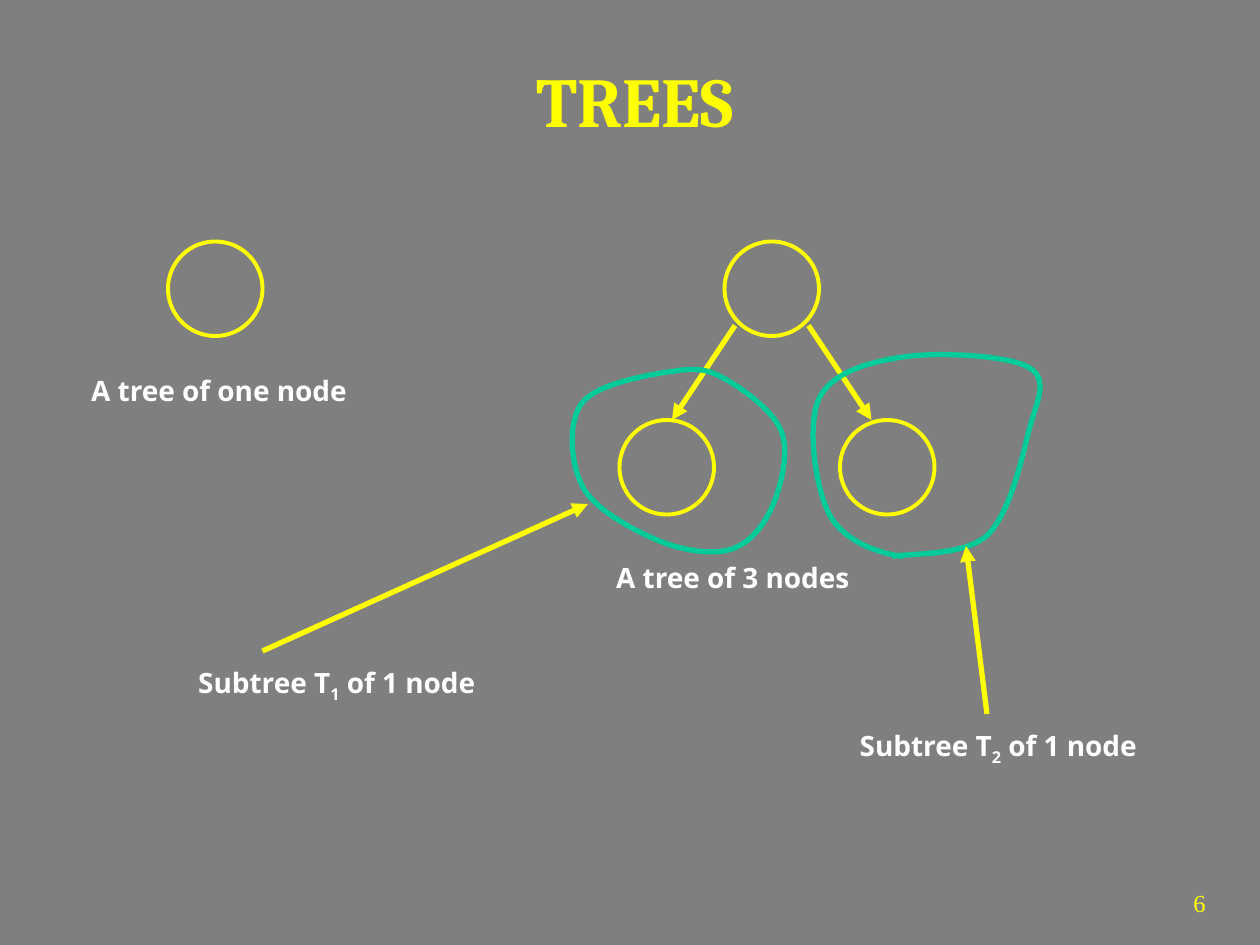
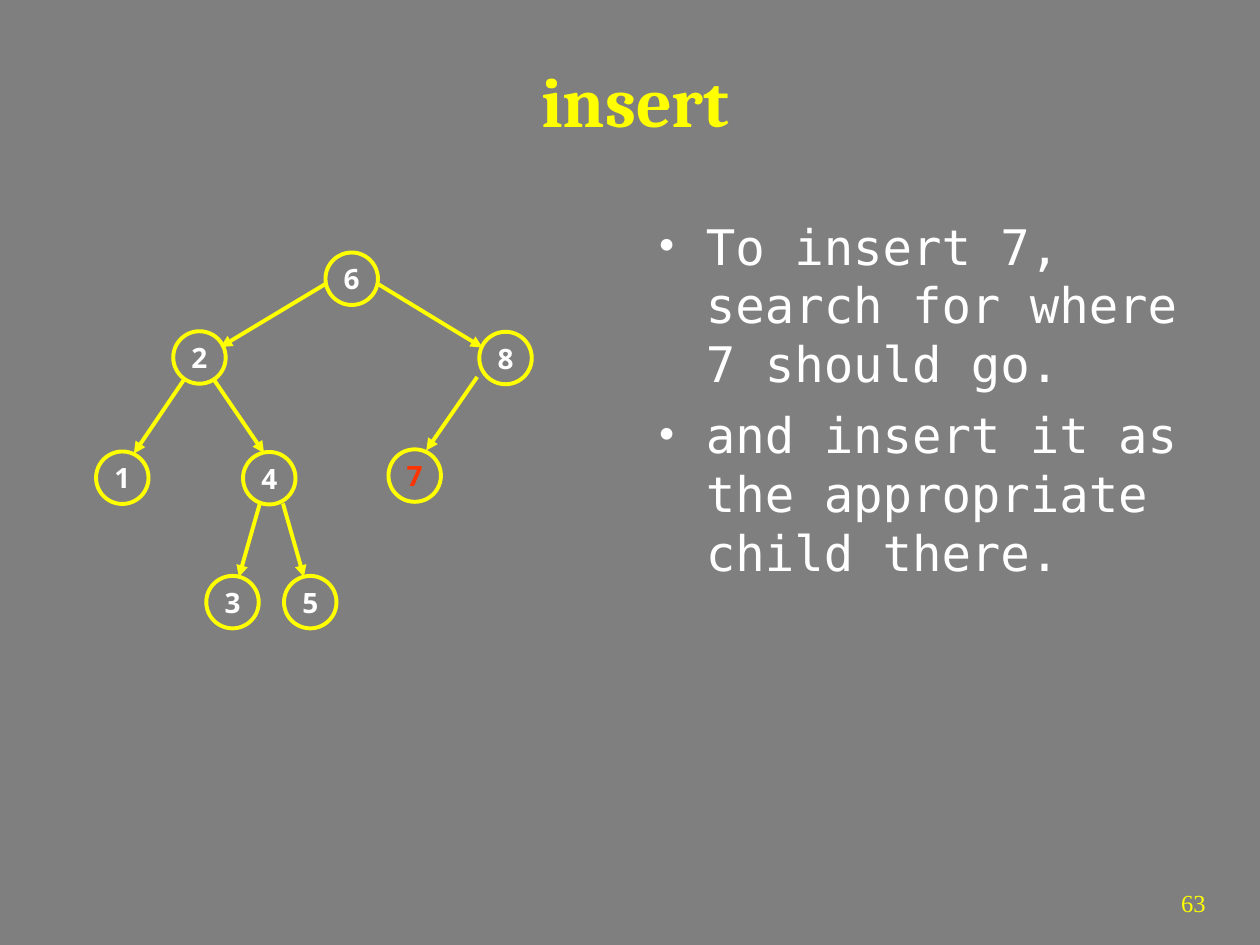
from collections import namedtuple

from lxml.etree import SubElement
from pptx import Presentation
from pptx.dml.color import RGBColor
from pptx.enum.shapes import MSO_CONNECTOR, MSO_SHAPE
from pptx.enum.text import MSO_ANCHOR, MSO_AUTO_SIZE, PP_ALIGN
from pptx.oxml.ns import qn
from pptx.util import Emu, Inches, Pt

COLORS = {"ground": "7F7F7F", "accent": "FFFF00", "text": "FFFFFF",
          "outline": "00CC99", "new": "FF3300"}
TITLE = {"name": "Cambria", "size": Pt(40), "bold": True}
LABEL = {"name": "Open Sans", "size": Pt(16), "bold": True}
BODY = {"name": "DejaVu Sans Mono", "size": Pt(28), "bold": False}
NUMBER = {"name": "Times New Roman", "size": Pt(14), "bold": False}

# The slide is a grid of 120 columns by 90 rows; all boxes count in its cells.
COLUMNS, ROWS = 120, 90
CELL = Inches(10) // COLUMNS
Box = namedtuple("Box", "column row width height")

TITLE_BOX = Box(5, 3, 111, 13)
NUMBER_BOX = Box(104, 84, 12, 6)
LABEL_HEIGHT = 4.4
BIG_NODE, SMALL_NODE = 9, 5


def cells(*counts):
    return [Emu(round(count * CELL)) for count in counts]


def inside(box, column, row):
    return box.column + column, box.row + row


def rgb(name):
    return RGBColor.from_string(COLORS[name])


def apply(target, values):
    for name, value in values.items():
        setattr(target, name, value)


def style(font, values, color):
    apply(font, values)
    font.color.rgb = rgb(color)


def add_text(page, box, **frame_values):
    frame = page.shapes.add_textbox(*cells(*box)).text_frame
    apply(frame, {"word_wrap": True, **frame_values})
    return frame


def add_label(page, column, row, width, *texts):
    """Add a one-line label; every second text is a subscript."""
    frame = add_text(page, Box(column, row, width, LABEL_HEIGHT), word_wrap=False)
    for index, text in enumerate(texts):
        span = frame.paragraphs[0].add_run()
        span.text = text
        style(span.font, LABEL, "text")
        if index % 2:
            span._r.get_or_add_rPr().set("baseline", "-25000")


def outline_only(shape, color, width):
    shape.shadow.inherit = False
    shape.fill.background()
    shape.line.color.rgb = rgb(color)
    shape.line.width = Pt(width)


def add_node(page, column, row, size, key="", color="text"):
    node = page.shapes.add_shape(MSO_SHAPE.OVAL, *cells(column, row, size, size))
    outline_only(node, "accent", 2.25)
    if key:
        frame = node.text_frame
        apply(frame, {"margin_left": 0, "margin_right": 0, "margin_top": 0,
                      "margin_bottom": 0, "word_wrap": False,
                      "vertical_anchor": MSO_ANCHOR.MIDDLE})
        para = frame.paragraphs[0]
        para.text, para.alignment = key, PP_ALIGN.CENTER
        style(para.font, LABEL, color)


def add_arrow(page, start, end, width):
    arrow = page.shapes.add_connector(MSO_CONNECTOR.STRAIGHT, *cells(*start, *end))
    arrow.line.color.rgb = rgb("accent")
    arrow.line.width = Pt(width)
    SubElement(arrow.line._get_or_add_ln(), qn("a:tailEnd"), type="triangle")
    SubElement(arrow._element.spPr, qn("a:effectLst"))


def curve_points(points, closed):
    """Return the start, then two handles and an end for each piece of a smooth curve."""
    if closed:
        ring = [points[-1], *points, *points[:2]]
    else:
        ring = [points[-2], *points, points[-1]]
    curve = [points[0]]
    for before, start, end, after in zip(ring, ring[1:], ring[2:], ring[3:]):
        curve.append(tuple(b + (c - a) / 6 for a, b, c in zip(before, start, end)))
        curve.append(tuple(c - (d - b) / 6 for b, c, d in zip(start, end, after)))
        curve.append(end)
    return curve


def add_curve(page, box, points, closed):
    start, *rest = [cells(*inside(box, *point)) for point in curve_points(points, closed)]
    builder = page.shapes.build_freeform(*start)
    builder.add_line_segments(rest, close=closed)
    shape = builder.convert_to_shape()
    outline_only(shape, "outline", 3)
    lines = list(shape._element.iter(qn("a:lnTo")))
    for piece, *others in zip(lines[::3], lines[1::3], lines[2::3]):
        piece.tag = qn("a:cubicBezTo")
        for line in others:
            line.getparent().remove(line)
            piece.append(line[0])


def add_slide(deck, title, number):
    page = deck.slides.add_slide(deck.slide_layouts[5])
    heading = page.shapes.title
    apply(heading, dict(zip(("left", "top", "width", "height"), cells(*TITLE_BOX))))
    apply(heading.text_frame, {"text": title, "auto_size": MSO_AUTO_SIZE.NONE,
                               "vertical_anchor": MSO_ANCHOR.MIDDLE})
    para = heading.text_frame.paragraphs[0]
    para.alignment = PP_ALIGN.CENTER
    style(para.font, TITLE, "accent")

    para = add_text(page, NUMBER_BOX).paragraphs[0]
    para.text, para.alignment = number, PP_ALIGN.RIGHT
    style(para.font, NUMBER, "accent")
    return page


def add_single_node_tree(page, box):
    add_node(page, *inside(box, 8.5, 0), BIG_NODE)
    add_label(page, *inside(box, 0, 12), box.width, "A tree of one node")


def add_three_node_tree(page, box):
    for place in ((15, 0), (5, 17), (26, 17)):
        add_node(page, *inside(box, *place), BIG_NODE)
    for start, end in (((16, 8), (10, 17)), ((23, 8), (29, 17))):
        add_arrow(page, inside(box, *start), inside(box, *end), 3)
    add_label(page, *inside(box, 3.5, 29.8), 24.6, "A tree of 3 nodes")


def add_subtree(page, box, points, closed, arrow, label_place, index):
    add_curve(page, box, points, closed)
    add_arrow(page, *(inside(box, *end) for end in arrow), 3)
    add_label(page, *inside(box, *label_place), 28.8, "Subtree T", index, " of 1 node")


def add_search_tree(page, box):
    # key: centre, parent, where the arrow leaves the parent's centre and meets the child's
    nodes = {
        "6": ((24.4, 2.5), None, None, None),
        "2": ((9.9, 10), "6", (-2.5, 0.5), (2, -1)),
        "8": ((39.05, 10.05), "6", (2.5, 0.5), (-2.2, -1)),
        "1": ((2.55, 21.45), "2", (-1.4, 2), (1.1, -2.3)),
        "4": ((16.55, 21.5), "2", (1.3, 2), (-0.5, -2.4)),
        "7": ((30.4, 21.25), "8", (-2.7, 1.8), (1.1, -2.4)),
        "3": ((13.05, 33.3), "4", (-0.9, 2.4), (0.6, -2.4)),
        "5": ((20.45, 33.3), "4", (1.3, 2.4), (-0.6, -2.4)),
    }
    for key, (centre, parent, leave, meet) in nodes.items():
        x, y = inside(box, *centre)
        add_node(page, x - SMALL_NODE / 2, y - SMALL_NODE / 2, SMALL_NODE, key,
                 "new" if key == "7" else "text")
        if parent:
            parent_x, parent_y = inside(box, *nodes[parent][0])
            add_arrow(page, (parent_x + leave[0], parent_y + leave[1]),
                      (x + meet[0], y + meet[1]), 2.25)


def add_bullets(page, box, texts):
    frame = add_text(page, box)
    indent = Inches(0.38)
    for index, text in enumerate(texts):
        para = frame.add_paragraph() if index else frame.paragraphs[0]
        para.text = text
        props = para._p.get_or_add_pPr()
        props.set("marL", str(indent))
        props.set("indent", str(-indent))
        if index:
            para.space_before = Pt(7)
        color = SubElement(props, qn("a:buClr"))
        SubElement(color, qn("a:srgbClr"), val=COLORS["text"])
        SubElement(props, qn("a:buFont"), typeface="Times New Roman")
        SubElement(props, qn("a:buChar"), char="•")
        style(para.font, BODY, "text")


def build_trees_slide(deck):
    page = add_slide(deck, "TREES", "6")
    add_single_node_tree(page, Box(7.5, 23, 26.8, 16.4))
    add_three_node_tree(page, Box(54, 23, 35, 34.2))
    add_subtree(page, Box(54, 35, 21, 18),
                [(8.5, 16.4), (1.5, 11.35), (1.5, 3.3), (10.5, 0.3),
                 (15.5, 1.35), (20.5, 6.3), (19.5, 13.35), (15.5, 17.35)],
                True, ((-29, 27), (2, 13)), (-36.3, 27.8), "1")
    add_subtree(page, Box(77, 33.5, 23, 19.5),
                [(9, 19.5), (2, 15.5), (1, 4.5), (9, 0.5),
                 (21, 1.5), (21, 7.5), (17, 17.5), (8, 19.5)],
                False, ((17, 34.5), (15, 18.5)), (3.7, 35.3), "2")


def build_insert_slide(deck):
    page = add_slide(deck, "insert", "63")
    add_bullets(page, Box(61.5, 20, 54.5, 66),
                ["To insert 7, search for where 7 should go.",
                 "and insert it as the appropriate child there."])
    add_search_tree(page, Box(9.1, 24.05, 41.6, 35.8))


def main():
    deck = Presentation()
    deck.slide_width, deck.slide_height = cells(COLUMNS, ROWS)
    ground = deck.slide_master.background.fill
    ground.solid()
    ground.fore_color.rgb = rgb("ground")
    build_trees_slide(deck)
    build_insert_slide(deck)
    deck.save("out.pptx")


if __name__ == "__main__":
    main()
